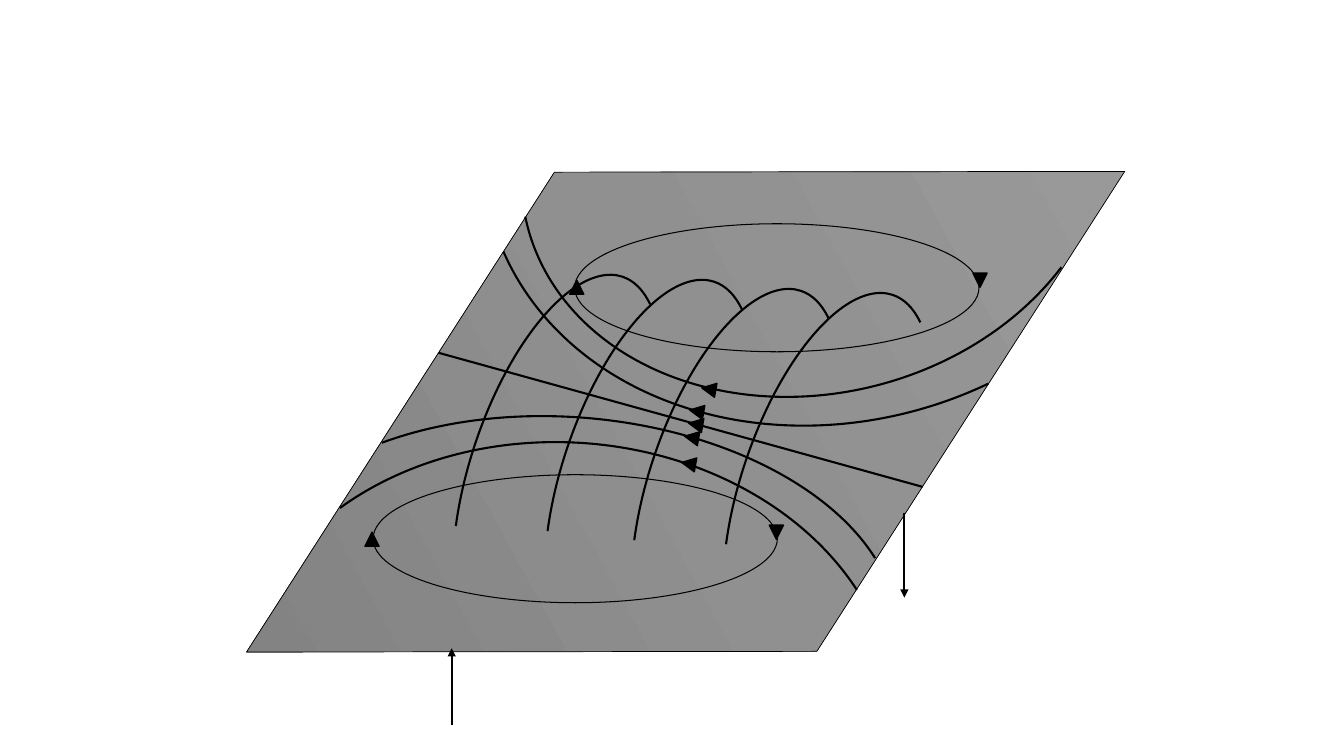
"""Draw a tilted plane with field lines, loops and flow arrows."""
import copy

import pptx
import pptx.dml.color
import pptx.enum.shapes
import pptx.oxml.ns
import pptx.oxml.xmlchemy
import pptx.util

PX = 9144
KIND = pptx.enum.shapes.MSO_SHAPE
HEX = {"ink": "000000", "light": "9D9D9D", "mid": "909090", "dark": "7C7C7C"}


def px(size):
    """Turn px into EMU."""
    return pptx.util.Emu(size * PX)


def tint(name):
    """Look up a named colour."""
    return pptx.dml.color.RGBColor.from_string(HEX[name])


def stroke(item, width):
    """Give an item an ink line."""
    item.line.color.rgb = tint("ink")
    item.line.width = pptx.util.Pt(width)


def add_shape(slide, kind, box, width, turn=0):
    """Add an unfilled, outlined preset shape."""
    shape = slide.shapes.add_shape(kind, *map(px, box))
    shape.rotation = turn
    shape.shadow.inherit = False
    shape.fill.background()
    stroke(shape, width)
    return shape


def add_plane(slide):
    """Add the shaded plane."""
    plane = add_shape(slide, KIND.DIAMOND, (409, -88, 542, 993), 0.5, 61.3)
    plane.fill.gradient()
    plane.fill.gradient_angle = 270
    stops = plane._element.spPr.find(".//" + pptx.oxml.ns.qn("a:gsLst"))
    stops.insert(1, copy.deepcopy(stops[0]))
    shades = ((0, "light"), (0.5, "mid"), (1, "dark"))
    for stop, (place, name) in zip(plane.fill.gradient_stops, shades):
        stop.position = place
        stop.color.rgb = tint(name)


def add_arc(slide, box, turn, start, end):
    """Add an open curve between two arc settings."""
    arc = add_shape(slide, KIND.ARC, box, 1.5, turn)
    arc.adjustments[0] = start
    arc.adjustments[1] = end


def add_head(slide, left, top, turn):
    """Add a small solid triangle."""
    head = add_shape(slide, KIND.ISOSCELES_TRIANGLE, (left, top, 14, 14), 1, turn)
    head.fill.solid()
    head.fill.fore_color.rgb = tint("ink")


def add_line(slide, ends, arrow=False):
    """Add a straight line, with an arrowhead if asked."""
    line = slide.shapes.add_connector(
        pptx.enum.shapes.MSO_CONNECTOR.STRAIGHT, *map(px, ends))
    stroke(line, 1.5)
    if arrow:
        tail = pptx.oxml.xmlchemy.OxmlElement("a:tailEnd")
        tail.set("type", "triangle")
        line.line._get_or_add_ln().append(tail)
    line._element.spPr.append(pptx.oxml.xmlchemy.OxmlElement("a:effectLst"))


def main():
    """Build and save the slide."""
    deck = pptx.Presentation()
    deck.slide_width, deck.slide_height = px(1333), px(750)
    slide = deck.slides.add_slide(deck.slide_layouts[6])

    add_plane(slide)
    for left, top in ((350, 381), (441, 386), (527, 395), (618, 399)):
        add_arc(slide, (left, top, 406, 172), 288.5, 133.78, 6.34)
    for bend in (
        ((514, -87, 591, 477), 166, 131.42, 0.96),
        ((474, -179, 717, 596), 163.6, 154.18, 213),
        ((234, 439, 654, 522), 4, 130.32, 200.6),
        ((240, 414, 651, 390), 4.7, 130.54, 206.96),
    ):
        add_arc(slide, *bend)

    add_line(slide, (435, 350, 915, 483))
    add_line(slide, (897, 509, 897, 593), arrow=True)
    add_line(slide, (448, 719, 448, 643), arrow=True)
    for left, top in ((570, 222), (370, 471)):
        add_shape(slide, KIND.OVAL, (left, top, 401, 127), 0.75)

    heads = {
        280: ((676, 453), (679, 427), (683, 414), (684, 401), (696, 379)),
        180: ((965, 271), (763, 521)),
        0: ((362, 528), (565, 278)),
    }
    for turn, spots in heads.items():
        for left, top in spots:
            add_head(slide, left, top, turn)

    deck.save("out.pptx")


if __name__ == "__main__":
    main()
